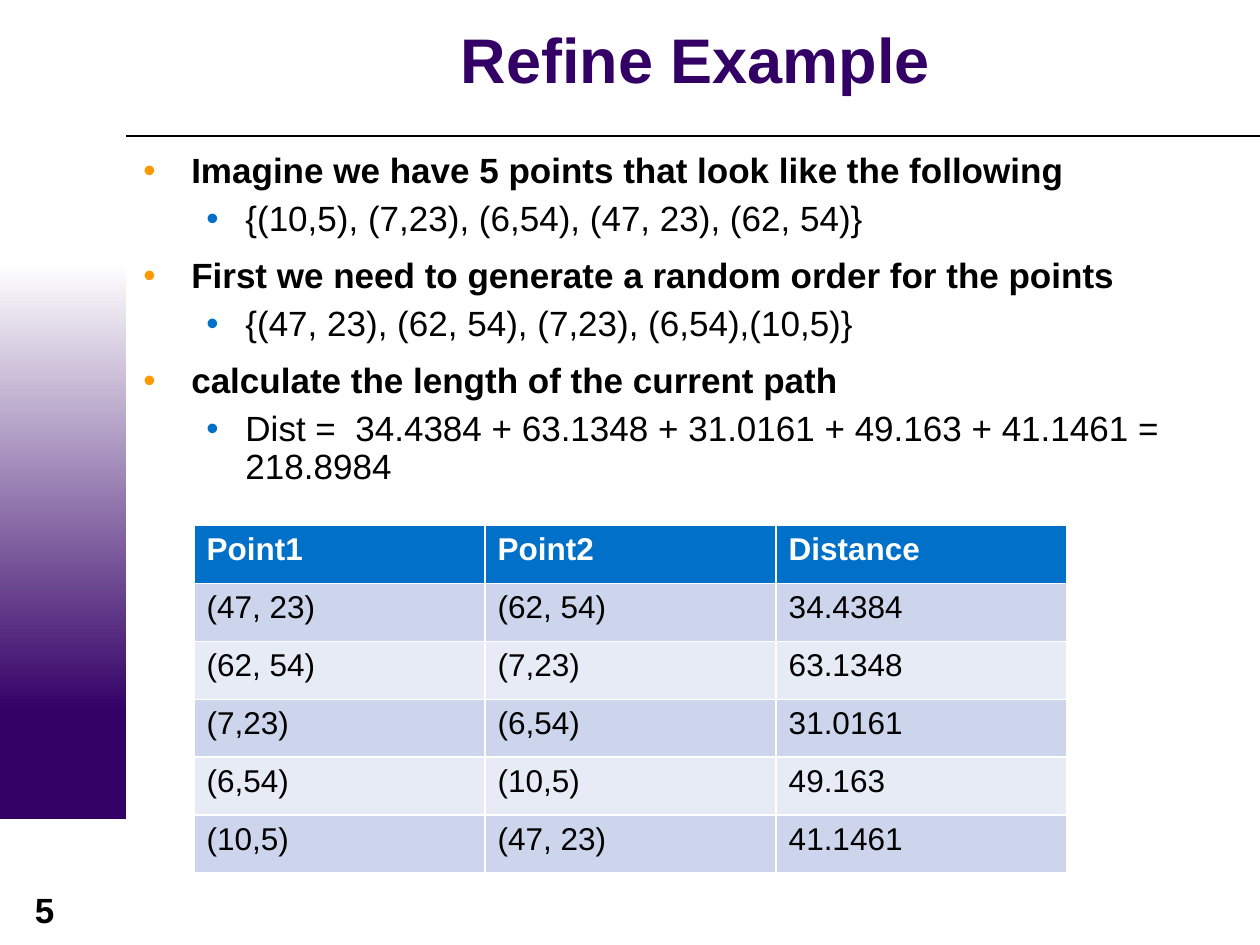
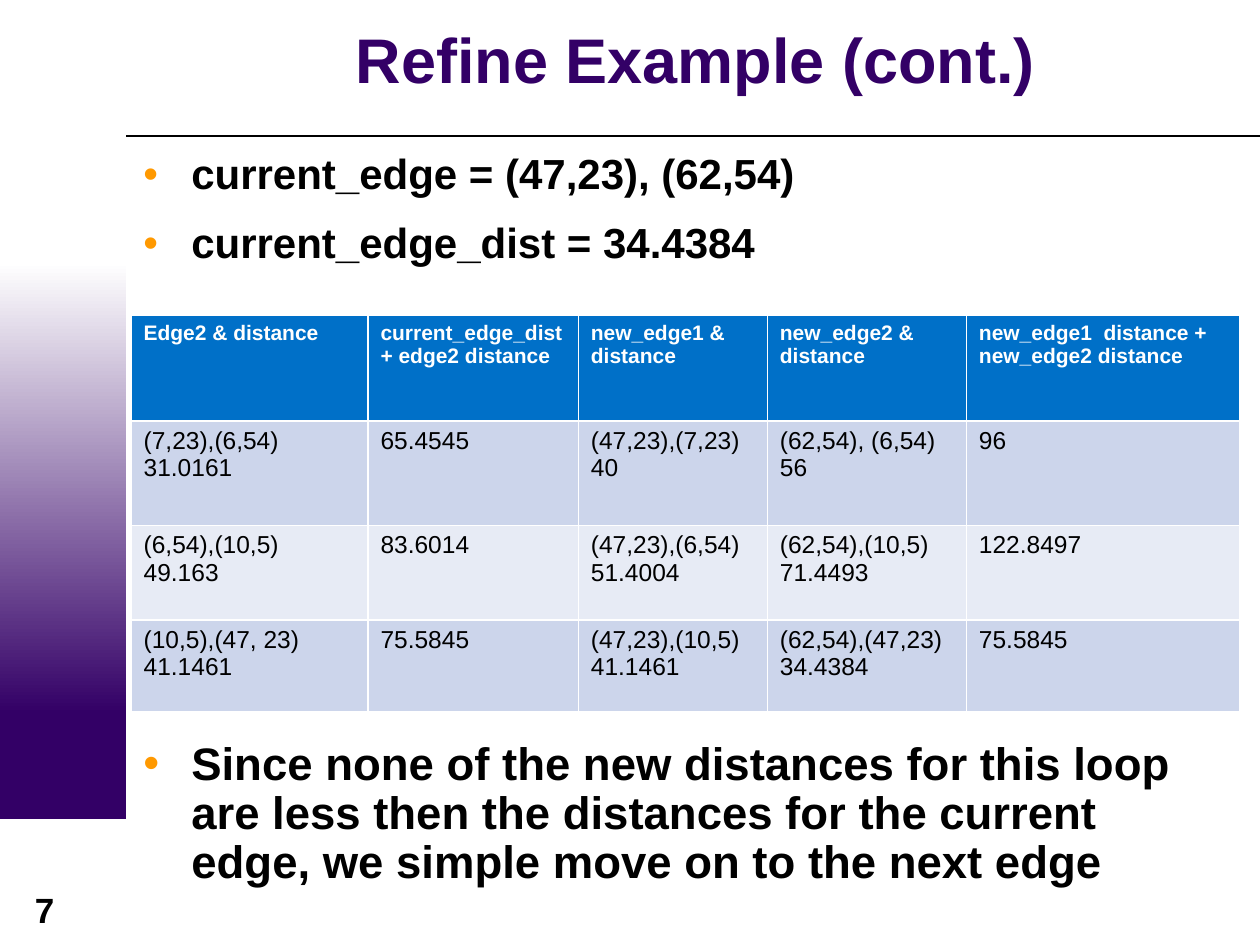
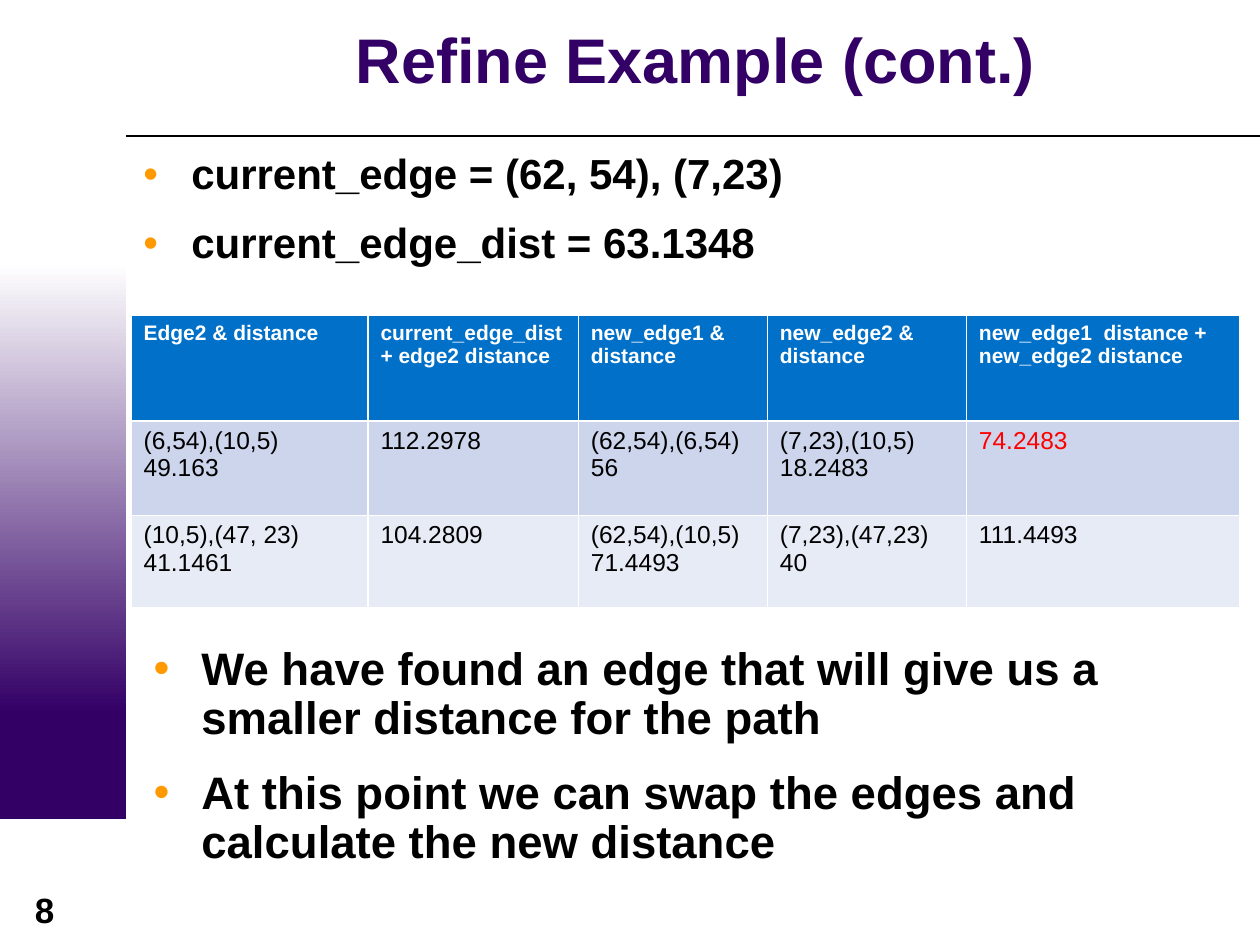
from lxml import etree
from pptx import Presentation
from pptx.dml.color import RGBColor
from pptx.enum.shapes import MSO_CONNECTOR, MSO_SHAPE
from pptx.enum.text import MSO_ANCHOR, PP_ALIGN
from pptx.oxml.ns import qn
from pptx.util import Inches, Pt

PURPLE, WHITE, BLACK, RED = "330066", "FFFFFF", "000000", "FF0000"
HEADER_BLUE = "0070C8"
BAND_FILLS = ["CCD5EB", "E7EBF5"]
BULLET_COLORS = ["FF9900", HEADER_BLUE]
BULLET_INDENTS = [(0.38, -0.38), (0.81, -0.31)]

EDGE_HEADER = ["Edge2 & distance", "current_edge_dist + edge2 distance",
               "new_edge1 & distance", "new_edge2 & distance",
               "new_edge1  distance + new_edge2 distance"]
EDGE_TABLE = {"left": 1.04, "top": 2.5, "columns": [1.88, 1.67, 1.5, 1.58, 2.17],
              "header_size": 12, "body_size": 14}

SLIDES = [
    {
        "number": "5",
        "title": "Refine Example",
        "texts": [
            ((1.04, 1.17, 8.96, 6.33), 20, [
                (0, "Imagine we have 5 points that look like the following"),
                (1, "{(10,5), (7,23), (6,54), (47, 23), (62, 54)}"),
                (0, "First we need to generate a random order for the points"),
                (1, "{(47, 23), (62, 54), (7,23), (6,54),(10,5)}"),
                (0, "calculate the length of the current path"),
                (1, "Dist =  34.4384 + 63.1348 + 31.0161 + 49.163 + 41.1461 = 218.8984"),
            ]),
        ],
        "table": {"left": 1.54, "top": 4.17, "columns": [2.31] * 3,
                  "header_size": 18, "body_size": 18},
        "heights": [0.46] * 6,
        "rows": [
            ["Point1", "Point2", "Distance"],
            ["(47, 23)", "(62, 54)", "34.4384"],
            ["(62, 54)", "(7,23)", "63.1348"],
            ["(7,23)", "(6,54)", "31.0161"],
            ["(6,54)", "(10,5)", "49.163"],
            ["(10,5)", "(47, 23)", "41.1461"],
        ],
        "shorter_distance": None,
    },
    {
        "number": "7",
        "title": "Refine Example (cont.)",
        "texts": [
            ((1.04, 1.17, 8.96, 1.25), 24, [
                (0, "current_edge = (47,23), (62,54)"),
                (0, "current_edge_dist = 34.4384"),
            ]),
            ((1.04, 5.83, 8.79, 1.51), 26, [
                (0, "Since none of the new distances for this loop are less then "
                    "the distances for the current edge, we simple move on to the next edge"),
            ]),
        ],
        "table": EDGE_TABLE,
        "heights": [0.84, 0.83, 0.75, 0.73],
        "rows": [
            EDGE_HEADER,
            ["(7,23),(6,54)\n31.0161", "65.4545", "(47,23),(7,23)\n40",
             "(62,54), (6,54)\n56", "96"],
            ["(6,54),(10,5)\n49.163", "83.6014", "(47,23),(6,54)\n51.4004",
             "(62,54),(10,5)\n71.4493", "122.8497"],
            ["(10,5),(47, 23)\n41.1461", "75.5845", "(47,23),(10,5)\n41.1461",
             "(62,54),(47,23)\n34.4384", "75.5845"],
        ],
        "shorter_distance": None,
    },
    {
        "number": "8",
        "title": "Refine Example (cont.)",
        "texts": [
            ((1.04, 1.17, 8.96, 1.25), 24, [
                (0, "current_edge = (62, 54), (7,23)"),
                (0, "current_edge_dist = 63.1348"),
            ]),
            ((1.12, 5.08, 8.79, 1.92), 26, [
                (0, "We have found an edge that will give us a smaller distance for the path"),
                (0, "At this point we can swap the edges and calculate the new distance"),
            ]),
        ],
        "table": EDGE_TABLE,
        "heights": [0.84, 0.75, 0.73],
        "rows": [
            EDGE_HEADER,
            ["(6,54),(10,5)\n49.163", "112.2978", "(62,54),(6,54)\n56",
             "(7,23),(10,5)\n18.2483", "74.2483"],
            ["(10,5),(47, 23)\n41.1461", "104.2809", "(62,54),(10,5)\n71.4493",
             "(7,23),(47,23)\n40", "111.4493"],
        ],
        "shorter_distance": "74.2483",
    },
]


def color(value):
    return RGBColor.from_string(value)


def set_font(paragraph, size, value, bold):
    font = paragraph.font
    font.name = "Arial"
    font.size = Pt(size)
    font.bold = bold
    font.color.rgb = color(value)


presentation = Presentation()
presentation.slide_width = Inches(10)
presentation.slide_height = Inches(7.5)

for content in SLIDES:
    slide = presentation.slides.add_slide(presentation.slide_layouts[6])

    for top, height in [(5.5, 1), (2.08, 3.58)]:
        band = slide.shapes.add_shape(
            MSO_SHAPE.RECTANGLE, 0, Inches(top), Inches(1), Inches(height))
        band.shadow.inherit = False
        band.line.fill.background()
        band.fill.solid()
        band.fill.fore_color.rgb = color(PURPLE)
    band.fill.gradient()
    band.fill.gradient_angle = 270
    for stop, value in zip(band.fill.gradient_stops, [WHITE, PURPLE]):
        stop.color.rgb = color(value)

    rule = slide.shapes.add_connector(
        MSO_CONNECTOR.STRAIGHT, Inches(1), Inches(1.08), Inches(10), Inches(1.08))
    rule.line.color.rgb = color(BLACK)
    rule.line.width = Pt(0.75)
    etree.SubElement(rule._element.spPr, qn("a:effectLst"))

    number_box = slide.shapes.add_textbox(
        Inches(-0.02), Inches(7), Inches(0.75), Inches(0.44))
    number_box.text_frame.word_wrap = True
    paragraph = number_box.text_frame.paragraphs[0]
    paragraph.text = content["number"]
    paragraph.alignment = PP_ALIGN.CENTER
    set_font(paragraph, 20, BLACK, True)

    title_box = slide.shapes.add_textbox(
        Inches(1.04), Inches(0.03), Inches(8.96), Inches(0.96))
    title_frame = title_box.text_frame
    title_frame.word_wrap = True
    title_frame.vertical_anchor = MSO_ANCHOR.MIDDLE
    title_frame.margin_top = title_frame.margin_bottom = 0
    paragraph = title_frame.paragraphs[0]
    paragraph.text = content["title"]
    paragraph.alignment = PP_ALIGN.CENTER
    paragraph.line_spacing = 0.85
    set_font(paragraph, 36, PURPLE, True)

    for position, size, lines in content["texts"]:
        text_box = slide.shapes.add_textbox(*[Inches(length) for length in position])
        text_frame = text_box.text_frame
        text_frame.word_wrap = True
        text_frame.text = "\n".join(text for level, text in lines)
        for paragraph, (level, text) in zip(text_frame.paragraphs, lines):
            paragraph.level = level
            paragraph.line_spacing = 0.9
            paragraph.space_before = Pt(0 if level else 0.28 * size)
            paragraph.space_after = Pt(0.28 * size)
            margin, indent = BULLET_INDENTS[level]
            properties = paragraph._p.get_or_add_pPr()
            properties.set("marL", str(Inches(margin)))
            properties.set("indent", str(Inches(indent)))
            bullet_color = etree.SubElement(properties, qn("a:buClr"))
            etree.SubElement(bullet_color, qn("a:srgbClr"), val=BULLET_COLORS[level])
            etree.SubElement(properties, qn("a:buFont"), typeface="Arial")
            etree.SubElement(properties, qn("a:buChar"), char="•")
            set_font(paragraph, size, BLACK, level == 0)

    layout = content["table"]
    rows, heights, columns = content["rows"], content["heights"], layout["columns"]
    table = slide.shapes.add_table(
        len(rows), len(columns), Inches(layout["left"]), Inches(layout["top"]),
        Inches(sum(columns)), Inches(sum(heights))).table
    for column, width in zip(table.columns, columns):
        column.width = Inches(width)
    for row_index, (row, height) in enumerate(zip(rows, heights)):
        is_header = row_index == 0
        table.rows[row_index].height = Inches(height)
        for column_index, text in enumerate(row):
            cell = table.cell(row_index, column_index)
            cell.text = text
            cell.fill.solid()
            cell.fill.fore_color.rgb = color(
                HEADER_BLUE if is_header else BAND_FILLS[(row_index - 1) % 2])
            text_color = WHITE if is_header else BLACK
            if text == content["shorter_distance"]:
                text_color = RED
            size = layout["header_size"] if is_header else layout["body_size"]
            for paragraph in cell.text_frame.paragraphs:
                set_font(paragraph, size, text_color, is_header)

presentation.save("out.pptx")
